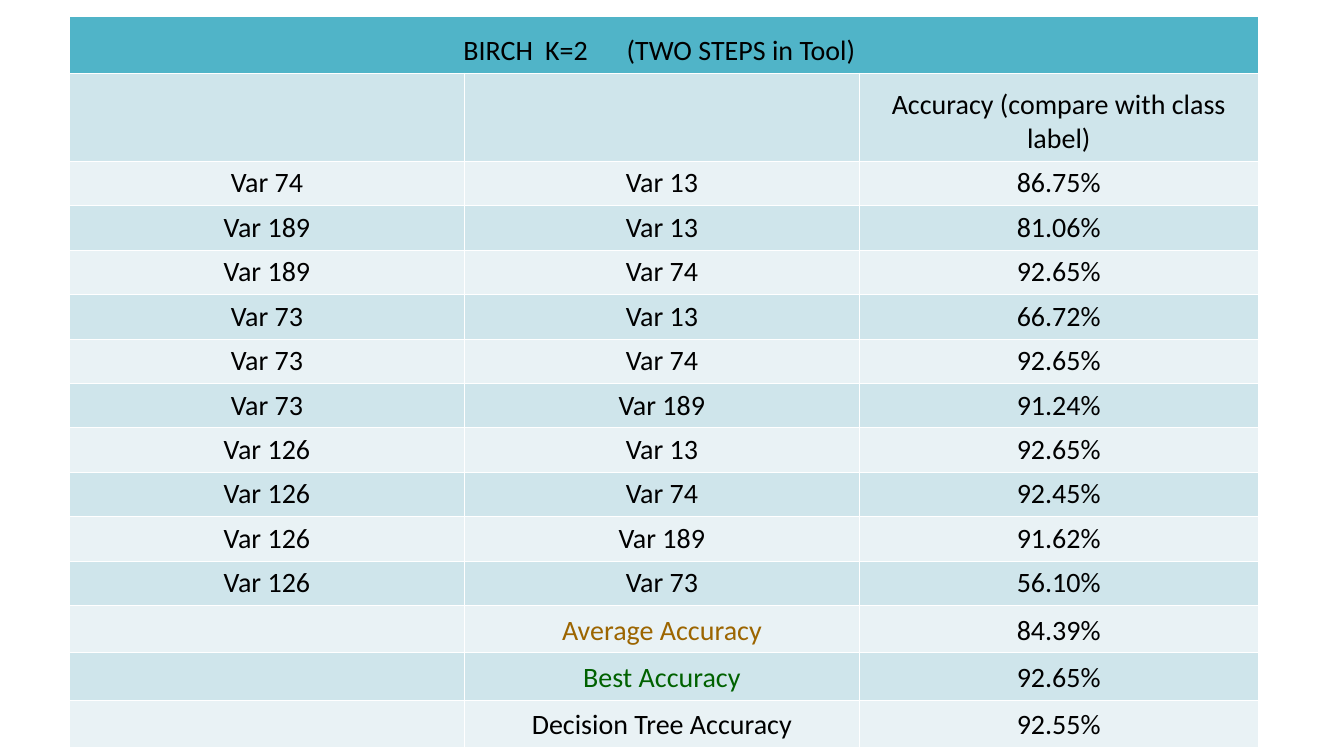
"""Builds a slide with a table of BIRCH clustering accuracy per variable pair."""
from lxml import etree
from pptx import Presentation
from pptx.dml.color import RGBColor
from pptx.enum.text import MSO_ANCHOR, PP_ALIGN
from pptx.oxml.ns import qn
from pptx.util import Inches, Pt

BOTTOM = MSO_ANCHOR.BOTTOM
CENTER, LEFT = PP_ALIGN.CENTER, PP_ALIGN.LEFT
BLACK = RGBColor(0x00, 0x00, 0x00)
WHITE = RGBColor(0xFF, 0xFF, 0xFF)
TEAL = RGBColor(0x50, 0xB4, 0xC8)
BANDS = [RGBColor(0xE9, 0xF2, 0xF5), RGBColor(0xCF, 0xE5, 0xEB)]
INKS = {
    "Average Accuracy": RGBColor(0x9C, 0x65, 0x00),
    "Best Accuracy": RGBColor(0x00, 0x61, 0x00),
}
THIN, THICK = Pt(0.45), Pt(1.47)

ROWS = [
    ("BIRCH\tK=2\t(TWO STEPS in Tool)", "", ""),
    ("", "", "Accuracy (compare with class label)"),
    ("Var 74", "Var 13", "86.75%"),
    ("Var 189", "Var 13", "81.06%"),
    ("Var 189", "Var 74", "92.65%"),
    ("Var 73", "Var 13", "66.72%"),
    ("Var 73", "Var 74", "92.65%"),
    ("Var 73", "Var 189", "91.24%"),
    ("Var 126", "Var 13", "92.65%"),
    ("Var 126", "Var 74", "92.45%"),
    ("Var 126", "Var 189", "91.62%"),
    ("Var 126", "Var 73", "56.10%"),
    ("", "Average Accuracy", "84.39%"),
    ("", "Best Accuracy", "92.65%"),
    ("", "Decision Tree Accuracy", "92.55%"),
]
HEIGHTS = [0.57, 0.87] + [0.44] * 10 + [0.47] * 3
TABS = [0.81, 1.62]


def add_edge(cell, side, width):
    line = etree.SubElement(cell._tc.get_or_add_tcPr(), qn(f"a:ln{side}"), w=str(width))
    fill = etree.SubElement(line, qn("a:solidFill"))
    etree.SubElement(fill, qn("a:srgbClr"), val=str(WHITE))


deck = Presentation()
deck.slide_width, deck.slide_height = Inches(13.34), Inches(7.5)
slide = deck.slides.add_slide(deck.slide_layouts[6])

frame = slide.shapes.add_table(
    len(ROWS), 3, Inches(0.69), Inches(0.16), Inches(11.76), Inches(sum(HEIGHTS))
)
table = frame.table
table.first_row = table.horz_banding = False
for col in table.columns:
    col.width = Inches(3.92)

for i, texts in enumerate(ROWS):
    table.rows[i].height = Inches(HEIGHTS[i])
    for j, text in enumerate(texts):
        cell = table.cell(i, j)
        for side in "LRTB":
            heavy = (i, side) in [(0, "B"), (1, "T")]
            add_edge(cell, side, THICK if heavy else THIN)
        cell.fill.solid()
        cell.fill.fore_color.rgb = BANDS[i % 2] if i else TEAL
        cell.vertical_anchor = BOTTOM
        cell.margin_left = cell.margin_right = Inches(0.01)
        cell.margin_top = cell.margin_bottom = Inches(0.05)
        cell.text = text
        para = cell.text_frame.paragraphs[0]
        para.alignment = CENTER
        if "\t" in text:
            para.alignment = LEFT
            cell.margin_left = Inches(3.91)
            stops = etree.SubElement(para._p.get_or_add_pPr(), qn("a:tabLst"))
            for stop in TABS:
                etree.SubElement(stops, qn("a:tab"), pos=str(Inches(stop)), algn="l")
        para.font.name = "Calibri"
        para.font.size = Pt(20)
        para.font.color.rgb = INKS.get(text, BLACK)

table.cell(0, 0).merge(table.cell(0, 2))

deck.save("out.pptx")
